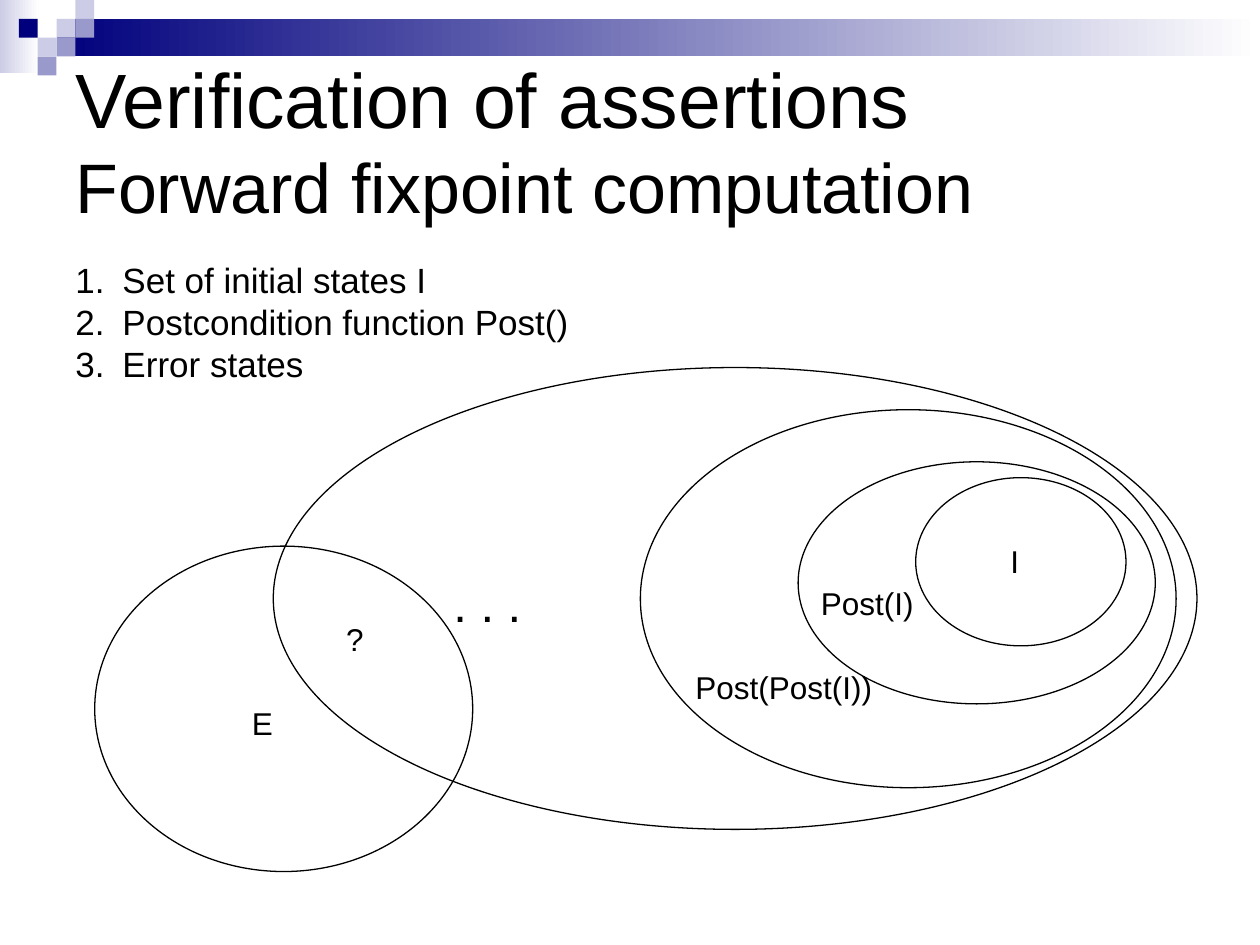
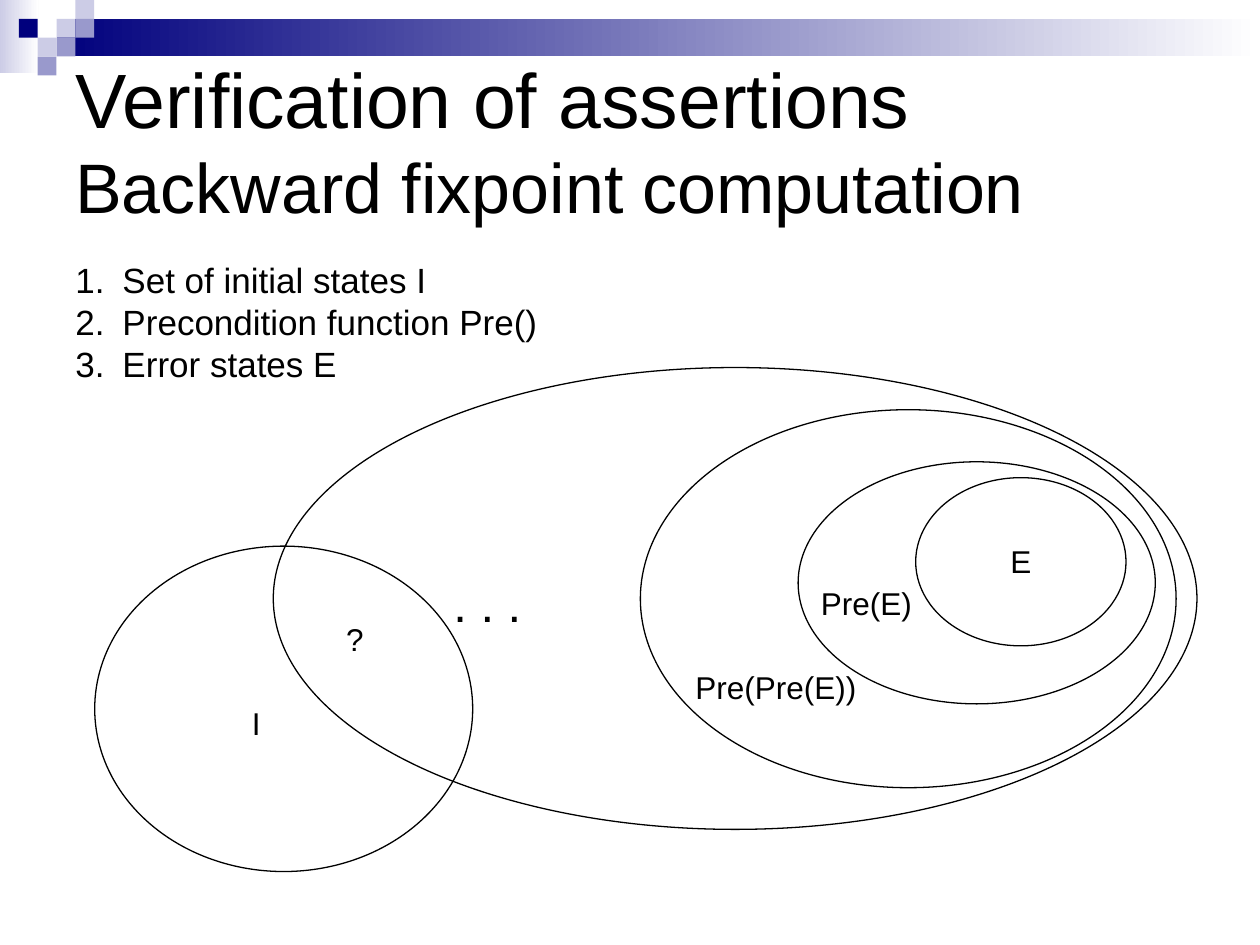
from lxml import etree
from pptx import Presentation
from pptx import util as u
from pptx.dml import color
from pptx.enum import shapes, text
from pptx.oxml import ns

COLORS = {"ink": "000000", "navy": "00007D", "violet": "9999CC",
          "lilac": "CCCCE6", "paper": "FFFFFF"}
FONT = "Arial"
CELL = 0.38
MOSAIC = [(3, 1, "lilac"), (4, 0, "lilac"), (4, 1, "violet"), (2, 2, "lilac"),
          (1, 1, "navy"), (3, 2, "violet"), (2, 3, "violet")]
LABEL_WIDTHS = {"I": 0.75, "E": 0.95, "?": 0.9, "Post(I)": 2.45, "Pre(E)": 2.45,
                "Post(Post(I))": 4.15, "Pre(Pre(E))": 3.85, ". . .": 1.95}
INNERMOST = (18.46, 9.63, 4.24, 3.39)
ONE_STEP = (16.09, 9.31, 7.2, 4.88)
TWO_STEPS = (12.91, 8.26, 10.8, 7.62)
FIXPOINT = (5.51, 7.41, 18.62, 9.31)
TARGET = (1.91, 11.01, 7.62, 6.56)


def rgb(name):
    return color.RGBColor.from_string(COLORS[name])


class Deck:
    def __init__(self):
        self.prs = Presentation()
        self.prs.slide_width, self.prs.slide_height = u.Cm(25.4), u.Cm(19.05)
        self.slide = None

    def new_slide(self, heading, subheading):
        self.slide = self.prs.slides.add_slide(self.prs.slide_layouts[6])
        self.fade((0, 0, 0.78, 1.48), "lilac")
        self.fade((3 * CELL, CELL, 25.4 - 3 * CELL, 2 * CELL), "navy")
        for column, row, tint in MOSAIC:
            self.block((column * CELL, row * CELL, CELL, CELL), tint)
        frame = self.frame((1.27, 0.76, 22.86, 4.11))
        frame.vertical_anchor = text.MSO_ANCHOR.MIDDLE
        title = frame.paragraphs[0]
        self.run(title, heading, 44)
        title.add_line_break()
        self.run(title, subheading, 40)

    def shape(self, kind, box):
        shape = self.slide.shapes.add_shape(kind, *map(u.Cm, box))
        shape.shadow.inherit = False
        return shape

    def block(self, box, tint):
        block = self.shape(shapes.MSO_SHAPE.RECTANGLE, box)
        block.fill.solid()
        block.fill.fore_color.rgb = rgb(tint)
        block.line.fill.background()

    def fade(self, box, tint):
        band = self.shape(shapes.MSO_SHAPE.RECTANGLE, box)
        band.fill.gradient()
        band.fill.gradient_angle = 0
        for stop, name in zip(band.fill.gradient_stops, (tint, "paper")):
            stop.color.rgb = rgb(name)
        band.line.fill.background()

    def state_set(self, box):
        ring = self.shape(shapes.MSO_SHAPE.OVAL, box)
        ring.fill.background()
        ring.line.color.rgb = rgb("ink")
        ring.line.width = u.Pt(0.75)

    def frame(self, box, wrap=True):
        frame = self.slide.shapes.add_textbox(*map(u.Cm, box)).text_frame
        frame.word_wrap = wrap
        return frame

    def run(self, paragraph, words, size):
        run = paragraph.add_run()
        run.text = words
        run.font.name = FONT
        run.font.size = u.Pt(size)
        run.font.color.rgb = rgb("ink")

    def label(self, words, left, top, size=18):
        height = 1.02 if size == 18 else 1.45
        frame = self.frame((left, top, LABEL_WIDTHS[words], height), wrap=False)
        frame.auto_size = text.MSO_AUTO_SIZE.SHAPE_TO_FIT_TEXT
        self.run(frame.paragraphs[0], words, size)

    def numbered(self, items, width):
        frame = self.frame((1.27, 5.08, width, 2.79))
        frame.auto_size = text.MSO_AUTO_SIZE.SHAPE_TO_FIT_TEXT
        for index, item in enumerate(items):
            paragraph = frame.add_paragraph() if index else frame.paragraphs[0]
            self.run(paragraph, item, 20)
            props = paragraph._p.get_or_add_pPr()
            props.set("marL", str(u.Cm(0.95)))
            props.set("indent", str(-u.Cm(0.95)))
            etree.SubElement(props, ns.qn("a:buFont"), typeface=FONT)
            etree.SubElement(props, ns.qn("a:buAutoNum"), type="arabicPeriod")

    def fixpoint_slide(self, direction, inputs, list_width, start, operator, target):
        self.new_slide("Verification of assertions", f"{direction} fixpoint computation")
        self.numbered(inputs, list_width)
        once = f"{operator}({start})"
        twice = f"{operator}({once})"
        for ring in (INNERMOST, ONE_STEP, TWO_STEPS, FIXPOINT, TARGET):
            self.state_set(ring)
        self.label(start, 20.12, 10.8)
        self.label(once, 16.3, 11.64)
        self.label(twice, 13.77, 13.34)
        self.label(". . .", 8.89, 11.43, size=28)
        self.label(target, 4.83, 14.07)
        self.label("?", 6.73, 12.37)


def main():
    deck = Deck()
    deck.fixpoint_slide(
        "Forward",
        ["Set of initial states I", "Postcondition function Post()", "Error states"],
        10.8, "I", "Post", "E")
    deck.fixpoint_slide(
        "Backward",
        ["Set of initial states I", "Precondition function Pre()", "Error states E"],
        10.16, "E", "Pre", "I")
    deck.prs.save("out.pptx")


if __name__ == "__main__":
    main()
